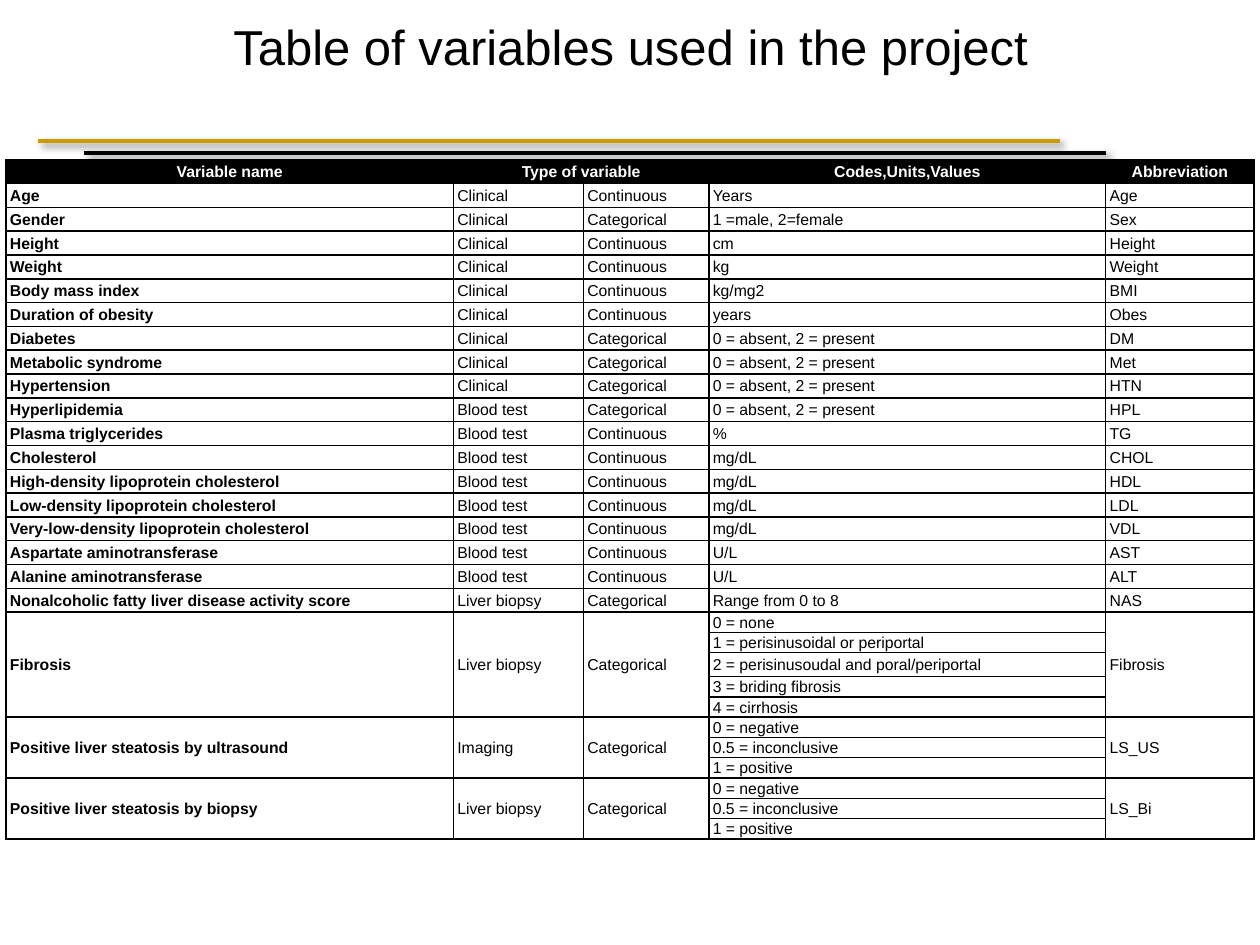
from lxml import etree
from pptx import Presentation
from pptx.dml.color import RGBColor
from pptx.enum import shapes, text
from pptx.oxml import ns, parse_xml
from pptx.util import Cm, Pt

COLORS = {"ink": "000000", "paper": "FFFFFF", "gold": "CD9800"}
FONT = "Arial"

COL_WIDTHS = [9.02, 2.62, 2.53, 8, 2.99]
ROW_HEIGHT, CODE_HEIGHT = 0.48, 0.4
TALL_CODE = "2 = perisinusoudal and poral/periportal"

HEADER = ["Variable name", "Type of variable", "", "Codes,Units,Values", "Abbreviation"]
CONT, CAT = "Continuous", "Categorical"
CLINICAL, BLOOD, BIOPSY = "Clinical", "Blood test", "Liver biopsy"
PRESENCE = ["0 = absent, 2 = present"]
FINDING = ["0 = negative", "0.5 = inconclusive", "1 = positive"]
# name, source, kind, codes (one table row each), abbreviation
VARIABLES = [
    ("Age", CLINICAL, CONT, ["Years"], "Age"),
    ("Gender", CLINICAL, CAT, ["1 =male, 2=female"], "Sex"),
    ("Height", CLINICAL, CONT, ["cm"], "Height"),
    ("Weight", CLINICAL, CONT, ["kg"], "Weight"),
    ("Body mass index", CLINICAL, CONT, ["kg/mg2"], "BMI"),
    ("Duration of obesity", CLINICAL, CONT, ["years"], "Obes"),
    ("Diabetes", CLINICAL, CAT, PRESENCE, "DM"),
    ("Metabolic syndrome", CLINICAL, CAT, PRESENCE, "Met"),
    ("Hypertension", CLINICAL, CAT, PRESENCE, "HTN"),
    ("Hyperlipidemia", BLOOD, CAT, PRESENCE, "HPL"),
    ("Plasma triglycerides", BLOOD, CONT, ["%"], "TG"),
    ("Cholesterol", BLOOD, CONT, ["mg/dL"], "CHOL"),
    ("High-density lipoprotein cholesterol", BLOOD, CONT, ["mg/dL"], "HDL"),
    ("Low-density lipoprotein cholesterol", BLOOD, CONT, ["mg/dL"], "LDL"),
    ("Very-low-density lipoprotein cholesterol", BLOOD, CONT, ["mg/dL"], "VDL"),
    ("Aspartate aminotransferase", BLOOD, CONT, ["U/L"], "AST"),
    ("Alanine aminotransferase", BLOOD, CONT, ["U/L"], "ALT"),
    ("Nonalcoholic fatty liver disease activity score", BIOPSY, CAT,
     ["Range from 0 to 8"], "NAS"),
    ("Fibrosis", BIOPSY, CAT,
     ["0 = none", "1 = perisinusoidal or periportal", TALL_CODE,
      "3 = briding fibrosis", "4 = cirrhosis"], "Fibrosis"),
    ("Positive liver steatosis by ultrasound", "Imaging", CAT, FINDING, "LS_US"),
    ("Positive liver steatosis by biopsy", BIOPSY, CAT, FINDING, "LS_Bi"),
]


def rgb(name):
    return RGBColor.from_string(COLORS[name])


def write(tf, content, size=9, color="ink", bold=False, align=None, spacing=None):
    p = tf.paragraphs[0]
    p.alignment = align
    p.line_spacing = spacing
    r = p.add_run()
    r.text = content
    r.font.name, r.font.size, r.font.bold = FONT, Pt(size), bold
    r.font.color.rgb = rgb(color)


def add_title(s, left, top, width, height):
    sp = s.shapes.title
    sp.left, sp.top, sp.width, sp.height = (Cm(v) for v in (left, top, width, height))
    tf = sp.text_frame
    tf.word_wrap = False
    tf.auto_size = text.MSO_AUTO_SIZE.SHAPE_TO_FIT_TEXT
    write(tf, "Table of variables used in the project", size=28,
          align=text.PP_ALIGN.CENTER)


def add_rules(s, left, top, width):
    """Two shadowed lines, the black one stepped right and down from the gold."""
    for color, dx, dy in (("ink", 0.93, 0.24), ("gold", 0, 0)):
        x, y = left + dx, top + dy
        line = s.shapes.add_connector(shapes.MSO_CONNECTOR.STRAIGHT,
                                      Cm(x), Cm(y), Cm(x + width), Cm(y))
        line.line.color.rgb = rgb(color)
        line.line.width = Pt(2.5)
        line._element.spPr.append(parse_xml(
            f'<a:effectLst {ns.nsdecls("a")}>'
            f'<a:outerShdw blurRad="{Pt(4)}" dist="{Pt(3)}" dir="{45 * 60000}"'
            ' algn="ctr" rotWithShape="0">'
            f'<a:srgbClr val="{COLORS["ink"]}"><a:alpha val="43000"/></a:srgbClr>'
            '</a:outerShdw></a:effectLst>'))


def set_borders(cell):
    tc_pr = cell._tc.get_or_add_tcPr()
    for i, side in enumerate(("lnL", "lnR", "lnT", "lnB")):
        ln = etree.Element(ns.qn(f"a:{side}"), w=str(Pt(1)))
        fill = etree.SubElement(ln, ns.qn("a:solidFill"))
        etree.SubElement(fill, ns.qn("a:srgbClr"), val=COLORS["ink"])
        tc_pr.insert(i, ln)


def style_cell(cell, fill):
    cell.margin_left = cell.margin_right = Cm(0.08)
    cell.margin_top = cell.margin_bottom = 0
    cell.vertical_anchor = text.MSO_ANCHOR.MIDDLE
    cell.fill.solid()
    cell.fill.fore_color.rgb = rgb(fill)
    set_borders(cell)


def row_heights():
    heights = [ROW_HEIGHT]
    for _, _, _, codes, _ in VARIABLES:
        heights += [CODE_HEIGHT if len(codes) > 1 and code != TALL_CODE else ROW_HEIGHT
                    for code in codes]
    return heights


def add_variable_table(s, left, top):
    heights = row_heights()
    table = s.shapes.add_table(len(heights), len(COL_WIDTHS), Cm(left), Cm(top),
                               Cm(sum(COL_WIDTHS)), Cm(sum(heights))).table
    table.first_row = table.horz_banding = False
    for col, width in zip(table.columns, COL_WIDTHS):
        col.width = Cm(width)
    for i, (row, height) in enumerate(zip(table.rows, heights)):
        row.height = Cm(height)
        for cell in row.cells:
            style_cell(cell, "paper" if i else "ink")

    table.cell(0, 1).merge(table.cell(0, 2))
    for c, label in enumerate(HEADER):
        if label:
            write(table.cell(0, c).text_frame, label, color="paper", bold=True,
                  align=text.PP_ALIGN.CENTER, spacing=1.07)

    first = 1
    for name, source, kind, codes, abbreviation in VARIABLES:
        last = first + len(codes) - 1
        for c, label in ((0, name), (1, source), (2, kind), (4, abbreviation)):
            cell = table.cell(first, c)
            if last > first:
                cell.merge(table.cell(last, c))
            write(cell.text_frame, label, bold=c == 0, spacing=1.07)
        for r, code in enumerate(codes, first):
            write(table.cell(r, 3).text_frame, code, spacing=1.07)
        first = last + 1


def main():
    prs = Presentation()
    prs.slide_width, prs.slide_height = Cm(25.4), Cm(19.05)
    s = prs.slides.add_slide(prs.slide_layouts[5])
    add_rules(s, 0.77, 2.84, 20.6)
    add_variable_table(s, 0.12, 3.22)
    add_title(s, 4.34, 0.2, 16.74, 1.45)
    prs.save("out.pptx")


if __name__ == "__main__":
    main()
